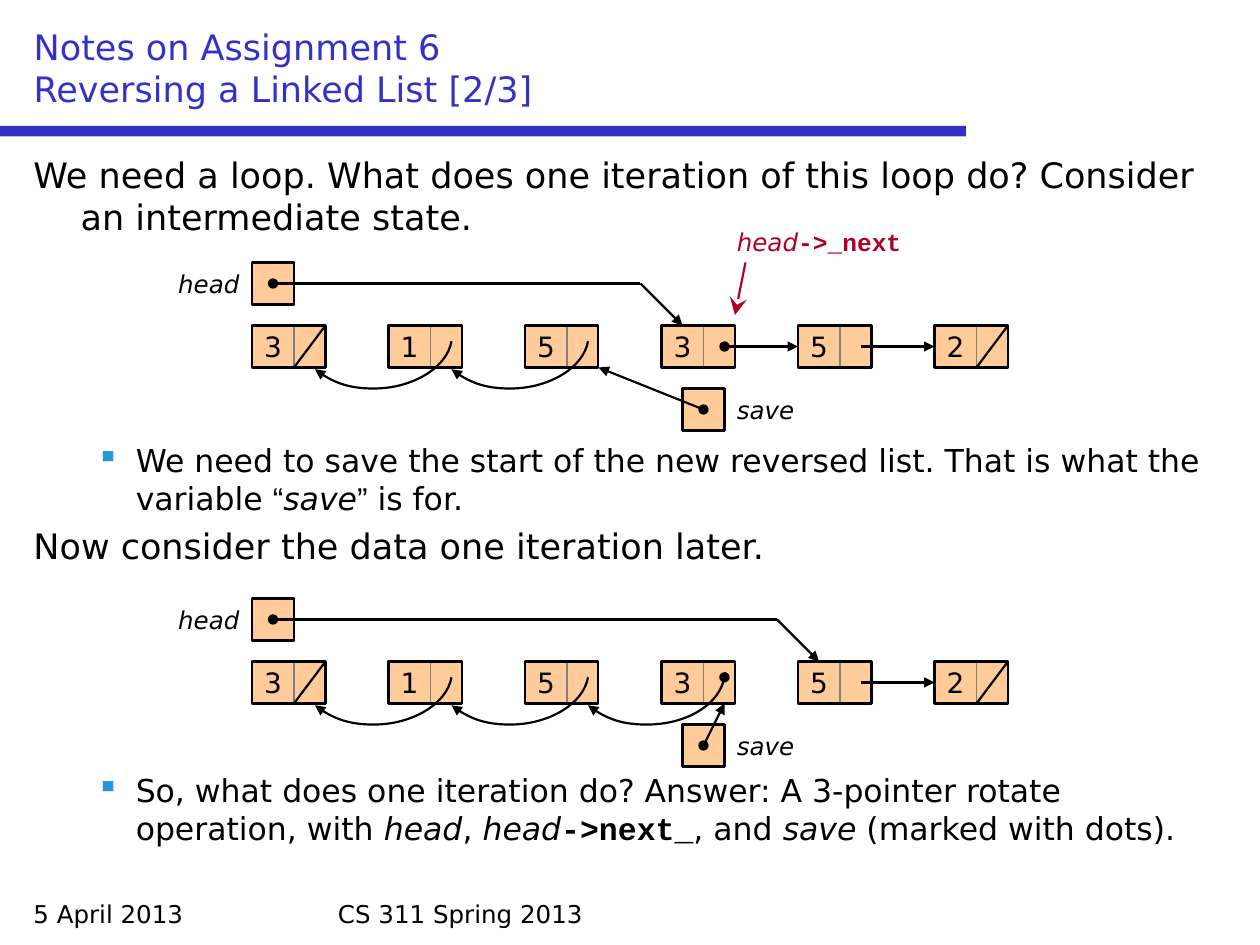
from pptx import Presentation
from pptx.dml.color import RGBColor
from pptx.enum.shapes import MSO_CONNECTOR, MSO_SHAPE
from pptx.enum.text import MSO_ANCHOR, MSO_AUTO_SIZE, PP_ALIGN
from pptx.oxml.ns import qn
from pptx.util import Pt
from lxml import etree

BLACK = RGBColor(0x00, 0x00, 0x00)
GREY = RGBColor(0x80, 0x80, 0x80)
PEACH = RGBColor(0xFF, 0xCC, 0x99)
BLUE = RGBColor(0x32, 0x32, 0xC8)
CRIMSON = RGBColor(0xAF, 0x00, 0x28)
BULLET_COLOR = "2896DC"
RECTANGLE = MSO_SHAPE.RECTANGLE
STRAIGHT = MSO_CONNECTOR.STRAIGHT
LEFT, CENTER, RIGHT = PP_ALIGN.LEFT, PP_ALIGN.CENTER, PP_ALIGN.RIGHT
MIDDLE, BOTTOM = MSO_ANCHOR.MIDDLE, MSO_ANCHOR.BOTTOM
NO_AUTOFIT = MSO_AUTO_SIZE.NONE
FONT, CODE_FONT, QUOTE_FONT = "DejaVu Sans", "Courier New", "Arial"

LIST_LEFT, NODE_STEP = 144, 78
CELL, POINTER_WIDTH = 24, 18
NODE_WIDTH = CELL + POINTER_WIDTH
POINTER_X = 36
SAVE_LEFT = 390
LINK_CURVE = [(36, 9), (33.5, 24), (14, 36), (-8.5, 36), (-21.5, 36), (-33.5, 32), (-42, 25)]
VALUES = "315352"


class SlideWriter:
    def __init__(self, slide):
        self.slide = slide
        self.shapes = slide.shapes

    def fill_paragraph(self, paragraph, pieces, size, color=BLACK):
        for text, style in pieces:
            run = paragraph.add_run()
            run.text = text
            font = run.font
            font.size = Pt(size)
            font.color.rgb = color
            font.italic = style == "italic"
            font.bold = style == "code"
            font.name = {"code": CODE_FONT, "quote": QUOTE_FONT}.get(style, FONT)

    def title(self, text, left, top, width, height):
        title = self.shapes.title
        title.left, title.top, title.width, title.height = map(Pt, (left, top, width, height))
        frame = title.text_frame
        frame.text = text
        frame.auto_size = NO_AUTOFIT
        frame.vertical_anchor = BOTTOM
        frame.paragraphs[0].alignment = LEFT
        for run in frame.paragraphs[0].runs:
            run.font.size = Pt(20)
            run.font.name = FONT
            run.font.color.rgb = BLUE

    def text_frame(self, left, top, width, height):
        frame = self.shapes.add_textbox(*map(Pt, (left, top, width, height))).text_frame
        frame.word_wrap = True
        return frame

    def label(self, pieces, left, top, width, color=BLACK, align=LEFT):
        paragraph = self.text_frame(left, top, width, CELL).paragraphs[0]
        paragraph.alignment = align
        self.fill_paragraph(paragraph, pieces, 14, color)

    def body(self, entries, left, top, width, height):
        frame = self.text_frame(left, top, width, height)
        for index, (bulleted, gap, pieces) in enumerate(entries):
            paragraph = frame.add_paragraph() if index else frame.paragraphs[0]
            paragraph.space_before = Pt(gap)
            self.fill_paragraph(paragraph, pieces, 18 if bulleted else 20)
            margin, indent = (58.5, -22.5) if bulleted else (27, -27)
            properties = paragraph._p.get_or_add_pPr()
            properties.set("marL", str(Pt(margin)))
            properties.set("indent", str(Pt(indent)))
            if bulleted:
                color = etree.SubElement(properties, qn("a:buClr"))
                etree.SubElement(color, qn("a:srgbClr"), val=BULLET_COLOR)
                etree.SubElement(properties, qn("a:buChar"), char="▪")

    def box(self, left, top, width, height, fill=PEACH, line=BLACK, weight=1.25, text=""):
        box = self.shapes.add_shape(RECTANGLE, *map(Pt, (left, top, width, height)))
        box.shadow.inherit = False
        if fill is None:
            box.fill.background()
        else:
            box.fill.solid()
            box.fill.fore_color.rgb = fill
        if line is None:
            box.line.fill.background()
        else:
            box.line.color.rgb = line
            box.line.width = Pt(weight)
        if text:
            frame = box.text_frame
            frame.word_wrap = False
            frame.vertical_anchor = MIDDLE
            frame.paragraphs[0].alignment = CENTER
            self.fill_paragraph(frame.paragraphs[0], [(text, None)], 16)

    def style_stroke(self, stroke, color, head, tail, end_size):
        stroke.line.color.rgb = color
        stroke.line.width = Pt(1.25)
        outline = stroke._element.spPr.find(qn("a:ln"))
        for tag, kind in (("a:headEnd", head), ("a:tailEnd", tail)):
            if kind:
                etree.SubElement(outline, qn(tag), type=kind, w=end_size, len=end_size)

    def line(self, start, end, color=BLACK, head=None, tail=None, end_size="med"):
        line = self.shapes.add_connector(STRAIGHT, *map(Pt, (*start, *end)))
        self.style_stroke(line, color, head, tail, end_size)
        etree.SubElement(line._element.spPr, qn("a:effectLst"))

    def curve(self, points, head=None, tail=None):
        start, *controls = [(Pt(x), Pt(y)) for x, y in points]
        builder = self.shapes.build_freeform(*start)
        builder.add_line_segments(controls, close=False)
        curve = builder.convert_to_shape()
        segments = list(curve._element.iter(qn("a:lnTo")))
        for first in range(0, len(segments), 3):
            bezier = etree.Element(qn("a:cubicBezTo"))
            segments[first].addprevious(bezier)
            for segment in segments[first:first + 3]:
                bezier.append(segment[0])
                segment.getparent().remove(segment)
        curve.shadow.inherit = False
        curve.fill.background()
        self.style_stroke(curve, BLACK, head, tail, "med")

    def node(self, value, left, top):
        self.box(left, top, CELL, CELL, line=GREY, weight=0.75, text=value)
        self.box(left + CELL, top, POINTER_WIDTH, CELL, line=GREY, weight=0.75)
        self.box(left, top, NODE_WIDTH, CELL, fill=None)

    def linked_list(self, top, head_index, reversed_links, dotted, save_target):
        row = top + 36
        lefts = [LIST_LEFT + NODE_STEP * index for index in range(len(VALUES))]
        for value, left in zip(VALUES, lefts):
            self.node(value, left, row)
        for left in (lefts[0], lefts[-1]):
            self.line((left + CELL, row + CELL), (left + NODE_WIDTH, row))
        for index in range(1, reversed_links + 1):
            self.curve([(lefts[index] + x, row + y) for x, y in LINK_CURVE],
                       head="oval" if index == dotted else None, tail="triangle")
        for index in range(head_index, len(VALUES) - 1):
            self.line((lefts[index] + POINTER_X, row + 12), (lefts[index + 1], row + 12),
                      head="oval" if index == dotted else None, tail="triangle")

        self.box(LIST_LEFT, top, CELL, CELL)
        bend = (lefts[head_index] - 12, top + 12)
        self.line((LIST_LEFT + 12, top + 12), bend, head="oval")
        self.line(bend, (lefts[head_index] + 12, row), tail="triangle")
        self.label([("head", "italic")], 72, top, 72, align=RIGHT)

        save_top = row + 36
        self.box(SAVE_LEFT, save_top, CELL, CELL)
        self.line((SAVE_LEFT + 12, save_top + 12), (save_target, row + CELL),
                  head="oval", tail="triangle")
        self.label([("save", "italic")], SAVE_LEFT + CELL, save_top, 72)


presentation = Presentation()
presentation.slide_width, presentation.slide_height = Pt(720), Pt(540)
writer = SlideWriter(presentation.slides.add_slide(presentation.slide_layouts[5]))

writer.box(0, 72, 552, 6, fill=BLUE, line=None)
writer.label([("5 April 2013", None)], 12, 510, 168)
writer.label([("CS 311 Spring 2013", None)], 186, 510, 348)
writer.title("Notes on Assignment 6\vReversing a Linked List [2/3]", 12, 12, 696, 54)

DIAGRAM_GAP = 116.5
writer.body([
    (False, 0, [("We need a loop. What does one iteration of this loop do? "
                 "Consider an intermediate state.", None)]),
    (True, DIAGRAM_GAP, [("We need to save the start of the new reversed list. "
                          "That is what the variable ", None),
                         ("“", "quote"), ("save", "italic"), ("”", "quote"),
                         (" is for.", None)]),
    (False, 4.7, [("Now consider the data one iteration later.", None)]),
    (True, DIAGRAM_GAP, [("So, what does one iteration do? Answer: "
                          "A 3-pointer rotate operation, with ", None),
                         ("head", "italic"), (", ", None), ("head", "italic"),
                         ("->next_", "code"), (", and ", None), ("save", "italic"),
                         (" (marked with dots).", None)]),
], 12, 84, 696, 420)

writer.linked_list(150, head_index=3, reversed_links=2, dotted=3, save_target=342)
writer.linked_list(342, head_index=4, reversed_links=3, dotted=3, save_target=414)
writer.label([("head", "italic"), ("->_next", "code")], 414, 126, 138, color=CRIMSON)
writer.line((426, 150), (420, 180), color=CRIMSON, tail="stealth", end_size="lg")

presentation.save("out.pptx")
